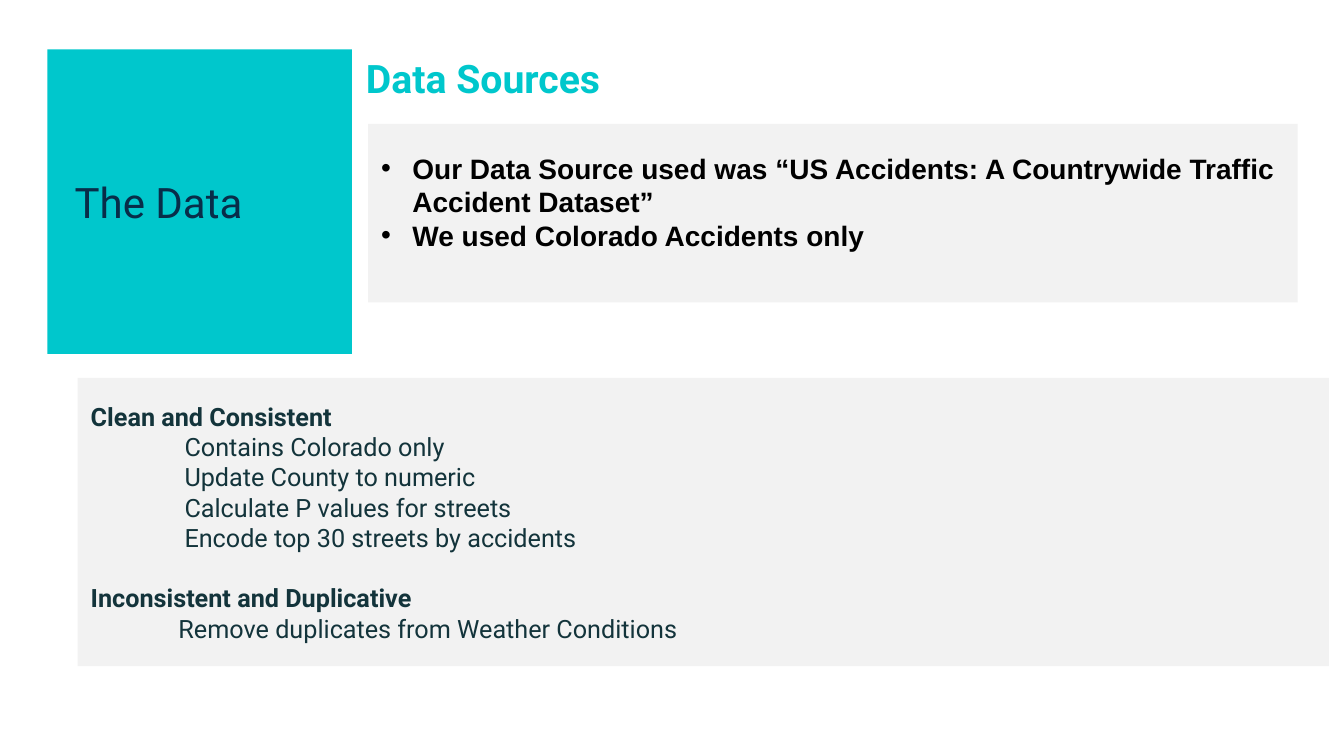
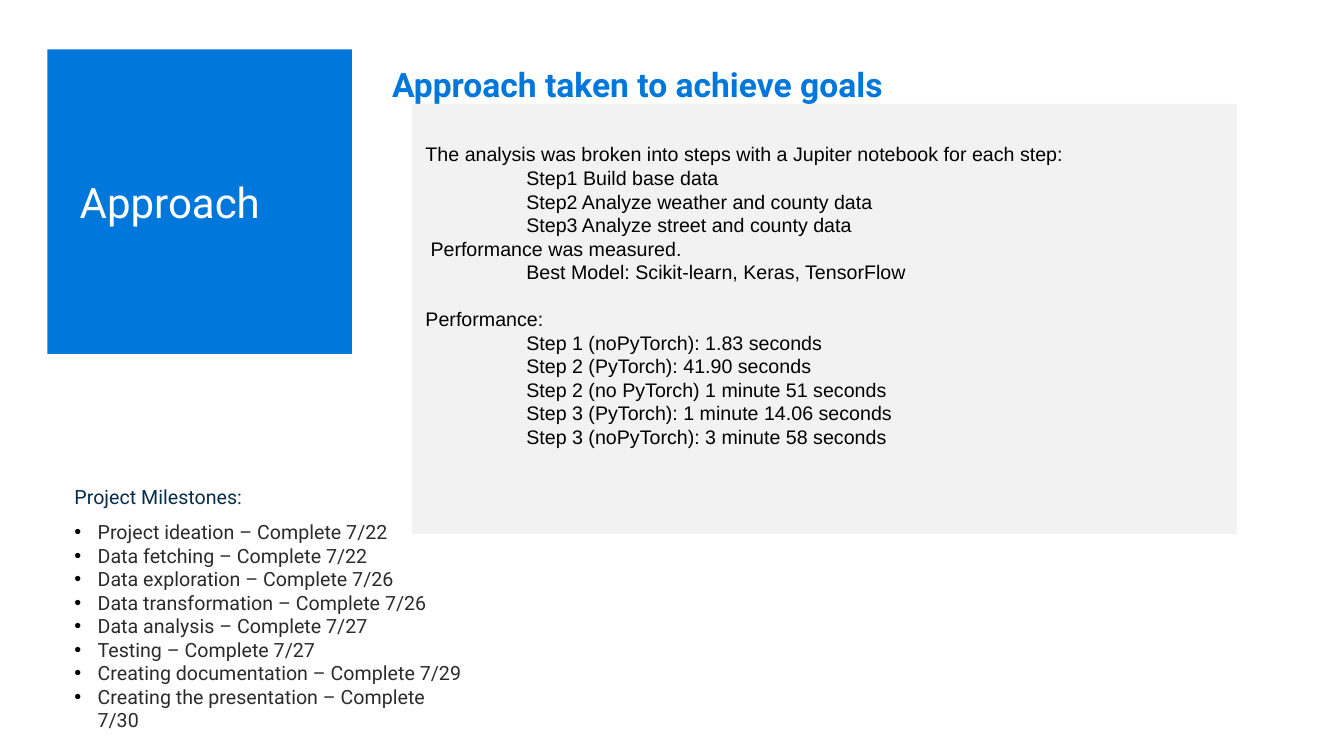
from lxml import etree
from pptx import Presentation
from pptx.dml.color import RGBColor
from pptx.enum import shapes, text
from pptx.oxml import ns
from pptx.util import Inches, Pt

# Shared style
TEAL = RGBColor(0x00, 0xC7, 0xCC)
BLUE = RGBColor(0x00, 0x77, 0xDB)
NAVY = RGBColor(0x08, 0x2D, 0x49)
DARK_TEAL = RGBColor(0x13, 0x34, 0x3B)
CHARCOAL = RGBColor(0x2B, 0x2B, 0x2B)
PANEL_GREY = RGBColor(0xF2, 0xF2, 0xF2)
BLACK = RGBColor(0, 0, 0)
WHITE = RGBColor(255, 255, 255)
SQUARE = (0.47, 0.49, 3.02, 3.02)
PANEL_INSET, TEXT_INSET = 0.13, 0.1

# Content: (text, paragraph format)
SUB = {"indent": 0.93}
STEP = {"indent": 1}
BULLET = {"indent": 0.31, "bullet": True}
MILESTONE = {"indent": 0.23, "bullet": True, "color": CHARCOAL}

SOURCES = [
    ("Our Data Source used was “US Accidents: A Countrywide Traffic Accident Dataset”", BULLET),
    ("We used Colorado Accidents only", BULLET),
]
CLEANING = [
    ("Clean and Consistent", {"bold": True}),
    ("Contains Colorado only", SUB),
    ("Update County to numeric", SUB),
    ("Calculate P values for streets", SUB),
    ("Encode top 30 streets by accidents", SUB),
    ("Inconsistent and Duplicative", {"bold": True, "before": 21.6}),
    ("Remove duplicates from Weather Conditions", {"indent": 0.87}),
]
ANALYSIS = [
    ("The analysis was broken into steps with a Jupiter notebook for each step:", {}),
    ("Step1 Build base data", STEP),
    ("Step2 Analyze weather and county data", STEP),
    ("Step3 Analyze street and county data", STEP),
    ("Performance was measured.", {"indent": 0.05}),
    ("Best Model: Scikit-learn, Keras, TensorFlow", STEP),
    ("Performance:", {"before": 16.8}),
    ("Step 1 (noPyTorch): 1.83 seconds", STEP),
    ("Step 2 (PyTorch): 41.90 seconds", STEP),
    ("Step 2 (no PyTorch) 1 minute 51 seconds", STEP),
    ("Step 3 (PyTorch): 1 minute 14.06 seconds", STEP),
    ("Step 3 (noPyTorch): 3 minute 58 seconds", STEP),
]
MILESTONES = [
    ("Project Milestones:", {"spacing": 1.15, "after": 8}),
    ("Project ideation – Complete 7/22", MILESTONE),
    ("Data fetching – Complete 7/22", MILESTONE),
    ("Data exploration – Complete 7/26", MILESTONE),
    ("Data transformation – Complete 7/26", MILESTONE),
    ("Data analysis – Complete 7/27", MILESTONE),
    ("Testing – Complete 7/27", MILESTONE),
    ("Creating documentation – Complete 7/29", MILESTONE),
    ("Creating the presentation – Complete 7/30", MILESTONE),
]


def add_bullet(p, indent):
    pPr = p._p.get_or_add_pPr()
    pPr.set("indent", str(-Inches(indent)))
    color = etree.SubElement(pPr, ns.qn("a:buClr"))
    etree.SubElement(color, ns.qn("a:srgbClr"), val=str(BLACK))
    etree.SubElement(pPr, ns.qn("a:buFont"), typeface="Arial")
    etree.SubElement(pPr, ns.qn("a:buChar"), char="•")


def write(p, words, size, font="Roboto", color=BLACK, bold=False, indent=0,
          bullet=False, spacing=None, before=0, after=0):
    """Fill one left-aligned paragraph."""
    p.alignment = text.PP_ALIGN.LEFT
    p.space_before, p.space_after = Pt(before), Pt(after)
    if spacing:
        p.line_spacing = spacing
    if indent:
        p._p.get_or_add_pPr().set("marL", str(Inches(indent)))
    if bullet:
        add_bullet(p, indent)
    r = p.add_run()
    r.text = words
    r.font.name, r.font.size, r.font.bold = font, Pt(size), bold
    r.font.color.rgb = color


def fill_frame(sp, lines, inset, left=None, bottom=None,
               anchor=text.MSO_ANCHOR.TOP, **style):
    tf = sp.text_frame
    tf.word_wrap = True
    tf.auto_size = text.MSO_AUTO_SIZE.NONE
    tf.vertical_anchor = anchor
    tf.margin_top = tf.margin_right = Inches(inset)
    tf.margin_left = Inches(left or inset)
    tf.margin_bottom = Inches(bottom or inset)
    for i, (words, own) in enumerate(lines):
        p = tf.add_paragraph() if i else tf.paragraphs[0]
        write(p, words, **{**style, **own})


def box(at):
    return [Inches(v) for v in at]


def add_section(prs, title, accent, color, left):
    """Start a slide whose title is a coloured square."""
    s = prs.slides.add_slide(prs.slide_layouts[5])
    sp = s.shapes.title
    sp.left, sp.top, sp.width, sp.height = box(SQUARE)
    sp.fill.solid()
    sp.fill.fore_color.rgb = accent
    fill_frame(sp, [(title, {})], TEXT_INSET, left=left,
               anchor=text.MSO_ANCHOR.MIDDLE, size=30, color=color)
    return s


def add_panel(s, at, lines, **style):
    sp = s.shapes.add_shape(shapes.MSO_SHAPE.RECTANGLE, *box(at))
    sp.shadow.inherit = False
    sp.fill.solid()
    sp.fill.fore_color.rgb = PANEL_GREY
    sp.line.fill.background()
    fill_frame(sp, lines, PANEL_INSET, anchor=text.MSO_ANCHOR.MIDDLE, **style)


def add_text(s, at, lines, **style):
    fill_frame(s.shapes.add_textbox(*box(at)), lines, TEXT_INSET, **style)


def main():
    prs = Presentation()
    prs.slide_width, prs.slide_height = Inches(13.33), Inches(7.5)

    # The data
    s = add_section(prs, "The Data", TEAL, NAVY, left=0.27)
    add_panel(s, (0.77, 3.75, 12.41, 2.86), CLEANING, size=18, color=DARK_TEAL)
    add_panel(s, (3.65, 1.23, 9.22, 1.77), SOURCES, size=20, font="Arial",
              bold=True, bottom=0.36)
    add_text(s, (3.53, 0.49, 9.32, 0.63), [("Data Sources", {})],
             size=28, color=TEAL, bold=True, spacing=0.9)

    # The approach
    s = add_section(prs, "Approach", BLUE, WHITE, left=0.32)
    add_panel(s, (4.09, 1.03, 8.18, 4.27), ANALYSIS, size=14, font="Arial",
              bottom=0.6)
    add_text(s, (3.79, 0.58, 9.32, 0.57),
             [("Approach taken to achieve goals", {})],
             size=24, color=BLUE, bold=True, spacing=0.9)
    add_text(s, (0.64, 4.68, 4.09, 2.85), MILESTONES, size=14, color=NAVY)

    prs.save("out.pptx")


if __name__ == "__main__":
    main()
